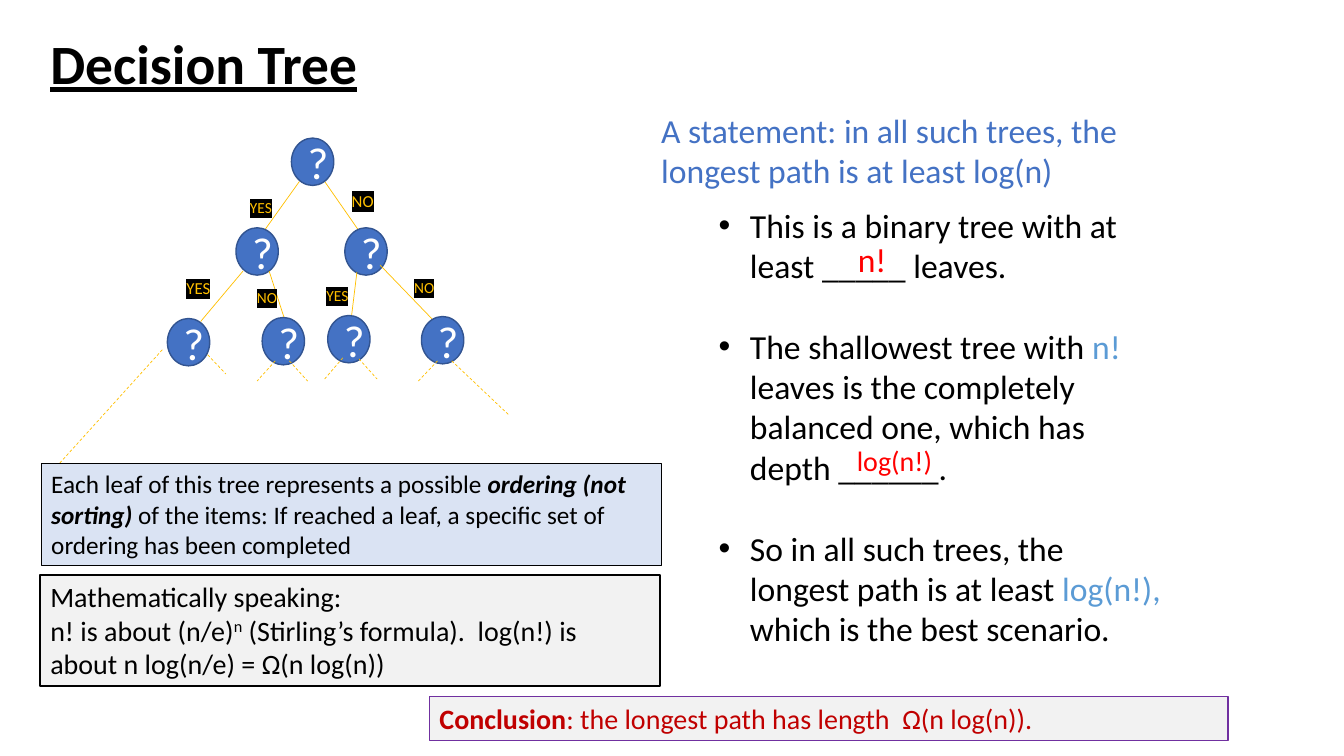
from lxml import etree
from pptx import Presentation
from pptx import util as u
from pptx.dml.color import RGBColor
from pptx.enum import dml, shapes, text
from pptx.oxml.ns import qn

PX = 9144  # 100 px to the inch
BLACK, RED, BLUE, SKY, GOLD = "000000", "FF0000", "4472C4", "5B9BD5", "FFC000"


def rgb(value):
    return RGBColor.from_string(value)


def write(shape, paragraphs, size, color, anchor=text.MSO_ANCHOR.TOP):
    """Fill a shape; a run is (words, options), where an option replaces a default."""
    frame = shape.text_frame
    frame.word_wrap = True
    frame.vertical_anchor = anchor
    for index, runs in enumerate(paragraphs):
        paragraph = frame.paragraphs[0] if index == 0 else frame.add_paragraph()
        paragraph.alignment = text.PP_ALIGN.LEFT
        for words, options in runs:
            run = paragraph.add_run()
            run.text = words
            font = run.font
            font.name, font.size = "Calibri", u.Pt(size)
            font.color.rgb = rgb(options.get("color", color))
            font.bold = options.get("bold", False)
            font.italic = options.get("italic", False)
            font.underline = options.get("underline", False)
            if "raise" in options:
                run._r.get_or_add_rPr().set("baseline", options["raise"])
            if "highlight" in options:
                highlight = etree.Element(qn("a:highlight"))
                etree.SubElement(highlight, qn("a:srgbClr"), val=options["highlight"])
                run._r.rPr.find(qn("a:solidFill")).addnext(highlight)
    return frame


prs = Presentation()
prs.slide_width, prs.slide_height = u.Emu(1333 * PX), u.Emu(750 * PX)
slide = prs.slides.add_slide(prs.slide_layouts[6])
canvas = slide.shapes

title = canvas.add_textbox(*(n * PX for n in (40, 38, 862, 55)))
heading = write(title, [[("Decision Tree", {"bold": True, "underline": True})]],
                39.6, BLACK, text.MSO_ANCHOR.MIDDLE)
heading.paragraphs[0].line_spacing = 0.9

# Decision tree, level by level: branches, answers (x, y, word, size), questions
NODE_W, NODE_H = 42, 47
levels = [
    ([(297, 180, 262, 229), (322, 180, 356, 229)],
     [(238, 192, "YES", 11), (339, 184, "NO", 12)],
     [(289, 137), (342, 226), (234, 226)], False),
    ([(354, 270, 348, 319), (377, 263, 431, 319),
      (241, 269, 199, 319), (267, 269, 283, 319)],
     [(314, 279, "YES", 11), (401, 271, "NO", 11),
      (175, 271, "YES", 12), (245, 281, "NO", 11)],
     [(418, 314), (325, 313), (260, 315), (166, 316)], False),
    ([(161, 347, 57, 462), (448, 358, 505, 412), (356, 356, 374, 376),
      (287, 358, 305, 378), (206, 352, 224, 371), (273, 358, 255, 378),
      (340, 355, 322, 376), (434, 358, 415, 378)],
     [], [], True),
]
for branches, answers, questions, dashed in levels:
    for ends in branches:
        branch = canvas.add_connector(shapes.MSO_CONNECTOR.STRAIGHT, *(n * PX for n in ends))
        branch.line.color.rgb = rgb(GOLD)
        branch.line.width = u.Pt(0.5)
        if dashed:
            branch.line.dash_style = dml.MSO_LINE.DASH
        etree.SubElement(branch._element.spPr, qn("a:effectLst"))
    for x, y, word, size in answers:
        answer = canvas.add_textbox(x * PX, y * PX, 60 * PX, 29 * PX)
        write(answer, [[(word, {"highlight": BLACK})]], size, GOLD)
    for x, y in questions:
        node = canvas.add_shape(shapes.MSO_SHAPE.OVAL, x * PX, y * PX, NODE_W * PX, NODE_H * PX)
        node.shadow.inherit = False
        node.fill.solid()
        node.fill.fore_color.rgb = rgb(BLUE)
        node.line.color.rgb = rgb("325491")
        node.line.width = u.Pt(1)
        mark = write(node, [[("?", {})]], 32, "FFFFFF", text.MSO_ANCHOR.MIDDLE)
        mark.paragraphs[0].alignment = text.PP_ALIGN.CENTER

# Argument on the right
reasons = canvas.add_textbox(*(n * PX for n in (703, 198, 462, 454)))
argument = write(reasons, [
    [("This is a binary tree with at least _____ leaves.", {})],
    [("The shallowest tree with ", {}), ("n! ", {"color": SKY}),
     ("leaves is the completely balanced one, which has depth ______.", {})],
    [("So in all such trees, the longest path is at least ", {}),
     ("log(n!), ", {"color": SKY}), ("which is the best scenario.", {})],
], 24, BLACK)
for reason in argument.paragraphs:
    reason.space_after = u.Pt(29)
    props = reason._p.get_or_add_pPr()
    props.set("marL", str(31 * PX))
    props.set("indent", str(-31 * PX))
    etree.SubElement(props, qn("a:buFont"), typeface="Arial")
    etree.SubElement(props, qn("a:buChar"), char="•")
argument.paragraphs[-1].space_after = u.Pt(0)

remarks = [
    ((841, 232, 64, 50), "n!", 24, RED),
    ((840, 435, 96, 44), "log(n!)", 20, RED),
    ((646, 104, 573, 91),
     "A statement: in all such trees, the longest path is at least log(n)", 24, BLUE),
]
for place, words, size, color in remarks:
    remark = canvas.add_textbox(*(n * PX for n in place))
    write(remark, [[(words, {})]], size, color)

# Framed notes: place, fill, border, border width, size, colour, paragraphs
notes = [
    ((426, 691, 792, 44), "F2F2F2", "7030A0", 1, 20, "C00000",
     [[("Conclusion", {"bold": True}),
       (": the longest path has length  Ω(n log(n)).", {})]]),
    ((41, 460, 615, 101), "DAE3F3", BLACK, 1, 18, BLACK,
     [[("Each leaf of this tree represents a possible ", {}),
       ("ordering (not sorting)", {"bold": True, "italic": True}),
       (" of the items: If reached a leaf, a specific set of ordering has been completed", {})]]),
    ((40, 570, 615, 111), "F2F2F2", BLACK, 1.5, 20, BLACK,
     [[("Mathematically speaking:", {})],
      [("n! is about (n/e)", {}), ("n", {"raise": "30000"}),
       (" (Stirling’s formula).  log(n!) is about n log(n/e) = Ω(n log(n))", {})]]),
]
for place, fill, border, width, size, color, paragraphs in notes:
    note = canvas.add_shape(shapes.MSO_SHAPE.RECTANGLE, *(n * PX for n in place))
    note.shadow.inherit = False
    note.fill.solid()
    note.fill.fore_color.rgb = rgb(fill)
    note.line.color.rgb = rgb(border)
    note.line.width = u.Pt(width)
    write(note, paragraphs, size, color)

prs.save("out.pptx")
